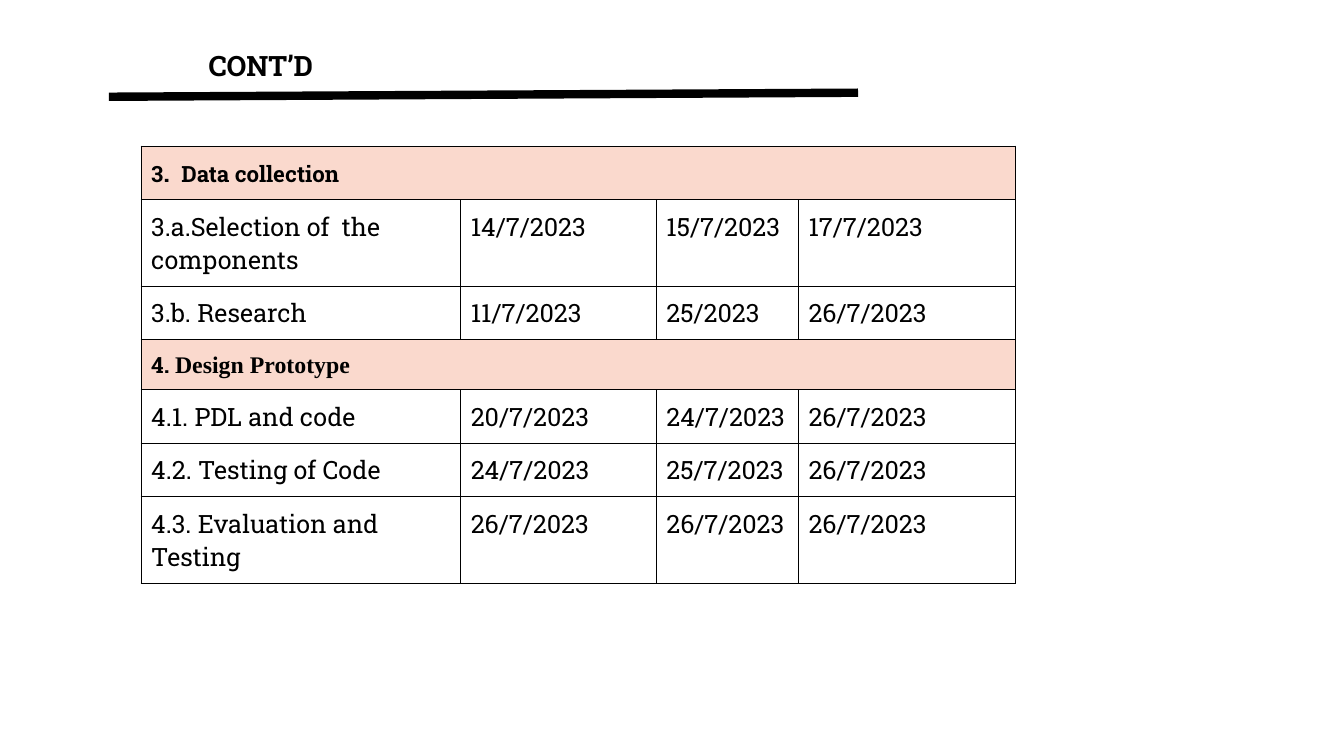
"""Build the continued project schedule slide."""
from pptx import Presentation
from pptx.dml.color import RGBColor
from pptx.enum.shapes import MSO_CONNECTOR as Connector
from pptx.oxml.ns import qn
from pptx.util import Inches, Pt
from lxml.etree import SubElement

TITLE = "CONT’D"
SLAB, TIMES = "Roboto Slab", "Times New Roman"
COLORS = {"ink": "000000", "section": "FAD9CD"}
SCHEDULE = [
    [("3", 16, SLAB), (". ", 18, SLAB), (" Data collection", 16, SLAB)],
    ("3.a.Selection of  the components", "14/7/2023", "15/7/2023", "17/7/2023"),
    ("3.b. Research", "11/7/2023", "25/2023", "26/7/2023"),
    [("4. ", 16, SLAB), ("Design Prototype", 17, TIMES)],
    ("4.1. PDL and code", "20/7/2023", "24/7/2023", "26/7/2023"),
    ("4.2. Testing of Code", "24/7/2023", "25/7/2023", "26/7/2023"),
    ("4.3. Evaluation and Testing", "26/7/2023", "26/7/2023", "26/7/2023"),
]
COLUMN_WIDTHS = (3.17, 1.94, 1.41, 2.15)
ROW_HEIGHT = 0.42
MARGIN = Inches(0.1)


def color(name):
    return RGBColor.from_string(COLORS[name])


def add_text(frame, text, size=18, font=SLAB, bold=False):
    span = frame.paragraphs[0].add_run()
    span.text = text
    span.font.size = Pt(size)
    span.font.name = font
    span.font.bold = bold
    span.font.color.rgb = color("ink")


def set_margins(holder):
    for side in ("left", "right", "top", "bottom"):
        setattr(holder, f"margin_{side}", MARGIN)


def style_cell(cell, is_section):
    set_margins(cell)
    properties = cell._tc.get_or_add_tcPr()
    for edge in ("a:lnL", "a:lnR", "a:lnT", "a:lnB"):
        border = SubElement(properties, qn(edge), w=str(Pt(0.75)))
        fill = SubElement(border, qn("a:solidFill"))
        SubElement(fill, qn("a:srgbClr"), val=COLORS["ink"])
    if is_section:
        cell.fill.solid()
        cell.fill.fore_color.rgb = color("section")
    else:
        cell.fill.background()


def add_title(page):
    box = page.shapes.add_textbox(Inches(1.97), Inches(0.38), Inches(4.26), Inches(0.54))
    box.text_frame.word_wrap = True
    set_margins(box.text_frame)
    add_text(box.text_frame, TITLE, size=20, bold=True)
    rule = page.shapes.add_connector(
        Connector.STRAIGHT, Inches(1.08), Inches(0.96), Inches(8.51), Inches(0.92))
    rule.line.color.rgb = color("ink")
    rule.line.width = Pt(6)
    SubElement(rule._element.spPr, qn("a:effectLst"))


def add_schedule(page):
    table = page.shapes.add_table(
        len(SCHEDULE), len(COLUMN_WIDTHS), Inches(1.4), Inches(1.45),
        Inches(sum(COLUMN_WIDTHS)), Inches(ROW_HEIGHT * len(SCHEDULE))).table
    table.first_row = table.horz_banding = False
    for column, width in zip(table.columns, COLUMN_WIDTHS):
        column.width = Inches(width)
    for index, entry in enumerate(SCHEDULE):
        cells = table.rows[index].cells
        table.rows[index].height = Inches(ROW_HEIGHT)
        is_section = isinstance(entry, list)
        for cell in cells:
            style_cell(cell, is_section)
        if is_section:
            table.cell(index, 0).merge(table.cell(index, len(COLUMN_WIDTHS) - 1))
            for text, size, font in entry:
                add_text(table.cell(index, 0).text_frame, text, size=size, font=font, bold=True)
        else:
            for cell, text in zip(cells, entry):
                add_text(cell.text_frame, text)


def main():
    deck = Presentation()
    deck.slide_width, deck.slide_height = Inches(13.33), Inches(7.5)
    page = deck.slides.add_slide(deck.slide_layouts[6])
    add_schedule(page)
    add_title(page)
    deck.save("out.pptx")


if __name__ == "__main__":
    main()
